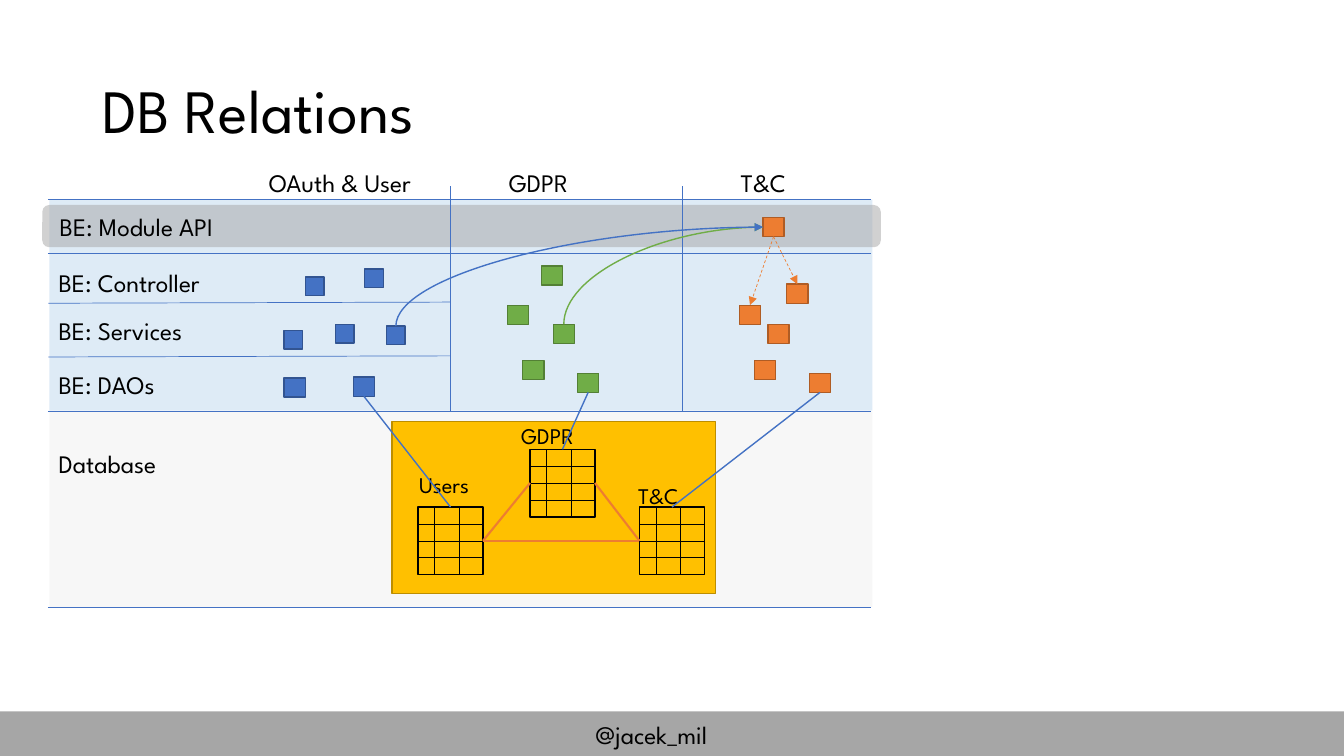
from lxml import etree
from pptx import Presentation
from pptx import util as u
from pptx.dml import color, line as dml
from pptx.enum import dml as styles, shapes, text
from pptx.oxml import ns

FONT = "League Spartan"
BLUE, GREEN, ORANGE = "4472C4", "70AD47", "ED7D31"


def rgb(value):
    """Turn a hex string into a colour."""
    return color.RGBColor.from_string(value)


def points(*values):
    """Turn numbers into lengths in points."""
    return [u.Pt(v) for v in values]


def box(slide, area, fill=None, edge=None, alpha=None, kind="RECTANGLE"):
    """Add a preset shape with an optional fill, edge and opacity."""
    shape = slide.shapes.add_shape(shapes.MSO_SHAPE[kind], *points(*area))
    shape.shadow.inherit = False
    if fill:
        shape.fill.solid()
        shape.fill.fore_color.rgb = rgb(fill)
    else:
        shape.fill.background()
    if alpha:
        tone = shape.fill._xPr.find(".//" + ns.qn("a:srgbClr"))
        etree.SubElement(tone, ns.qn("a:alpha")).set("val", str(alpha * 1000))
    if edge:
        shape.line.color.rgb = rgb(edge)
        shape.line.width = u.Pt(1)
    else:
        shape.line.fill.background()
    return shape


def write(shape, words, size=18):
    """Put one line of black text, left aligned, in a shape."""
    frame = shape.text_frame
    frame.word_wrap = True
    para = frame.paragraphs[0]
    para.text = words
    para.alignment = text.PP_ALIGN.LEFT
    para.font.size = u.Pt(size)
    para.font.name = FONT
    para.font.color.rgb = rgb("000000")
    return frame


def label(slide, words, area, size=18):
    """Add a text box."""
    return write(slide.shapes.add_textbox(*points(*area)), words, size)


def style(wire, tone, width, arrow=False, dash=False):
    """Set the look of a connector."""
    etree.SubElement(wire._element.spPr, ns.qn("a:effectLst"))
    pen = dml.LineFormat(wire)
    pen.color.rgb = rgb(tone)
    pen.width = u.Pt(width)
    if dash:
        pen.dash_style = styles.MSO_LINE.DASH
    if arrow:
        tail = etree.SubElement(wire._element.spPr.ln, ns.qn("a:tailEnd"))
        tail.set("type", "triangle")


def rule(slide, ends, tone=BLUE, width=0.5):
    """Add a free straight line."""
    wire = slide.shapes.add_connector(shapes.MSO_CONNECTOR.STRAIGHT, *points(*ends))
    style(wire, tone, width)


def join(slide, start, first, stop, last, tone, width, curve=False, **look):
    """Connect the sides of two shapes."""
    kind = shapes.MSO_CONNECTOR.CURVE if curve else shapes.MSO_CONNECTOR.STRAIGHT
    wire = slide.shapes.add_connector(kind, 0, 0, 0, 0)
    wire.begin_connect(start, first)
    wire.end_connect(stop, last)
    style(wire, tone, width, **look)
    if curve:
        bend(wire)


def bend(wire):
    """Make a curve rise from its start and reach its end sideways."""
    wide, high = wire.width, wire.height
    wire.left += (wide - high) // 2
    wire.top += (high - wide) // 2
    wire.width, wire.height = high, wide
    props = wire._element.spPr
    props.find(ns.qn("a:prstGeom")).set("prst", "curvedConnector2")
    for key, value in (("rot", "5400000"), ("flipH", "1"), ("flipV", "1")):
        props.xfrm.set(key, value)


def squares(slide, spots, fill, edge, wide=15.1, high=13.7):
    """Add small classes of one module."""
    return [box(slide, (x, y, wide, high), fill, edge) for x, y in spots]


def table(slide, left, top):
    """Draw a table icon of four rows and three columns."""
    wide, high = 46.4, 48.3
    frame = box(slide, (left, top, wide, high), edge="000000")
    for row in range(1, 4):
        y = top + row * high / 4
        rule(slide, (left, y, left + wide, y), "000000")
    for gap in (11.9, 29.5):
        rule(slide, (left + gap, top, left + gap, top + high), "000000")
    return frame


def main():
    """Build the slide."""
    deck = Presentation()
    deck.slide_width, deck.slide_height = points(960, 540)
    slide = deck.slides.add_slide(deck.slide_layouts[6])

    box(slide, (0, 508.2, 960, 31.8), "A6A6A6")
    label(slide, "@jacek_mil", (418.3, 510, 123, 29))
    box(slide, (35.2, 142.6, 588, 150.8), "5B9BD5", alpha=20)
    box(slide, (35.2, 293.8, 588, 139.8), "DBDBDB", alpha=20)
    box(slide, (280, 301, 231, 123), "FFC000", "BD8E00")

    users, terms, privacy = [
        table(slide, x, y) for x, y in ((298.6, 362.2), (456.8, 362.2), (378.6, 320.9))]
    for words, x, y in (("Users", 292.3, 332.8), ("GDPR", 365.2, 298), ("T&C", 448.8, 340.6)):
        label(slide, words, (x, y, 60, 26.6), 16)

    bar = box(slide, (30.2, 146.4, 599, 30.2), "A5A5A5", alpha=50, kind="ROUNDED_RECTANGLE")
    frame = write(bar, "BE: Module API")
    frame.vertical_anchor = text.MSO_ANCHOR.MIDDLE
    frame.margin_left = u.Pt(11)
    title = label(slide, "DB Relations", (66, 28.8, 828, 104.4), 44)
    title.vertical_anchor = text.MSO_ANCHOR.MIDDLE
    title.paragraphs[0].line_spacing = 0.9
    for words, x in (("OAuth & User", 185), ("GDPR", 356.4), ("T&C", 522)):
        label(slide, words, (x, 116, 138, 29))
    for words, y in (("BE: Controller", 187.4), ("BE: Services", 222),
                     ("BE: DAOs", 260.6), ("Database", 316.6)):
        label(slide, words, (34.8, y, 143, 29))

    for y in (142.6, 180.9, 293.8, 434):
        rule(slide, (34.2, y, 622.4, y))
    for y in (216.6, 255):
        rule(slide, (34.6, y, 322, y - 0.8))
    for x in (322, 487.5):
        rule(slide, (x, 133.2, x, 293.8))

    caller = squares(slide, ((218.2, 198), (260.6, 192.2), (203, 236.2), (239.8, 231.8),
                             (276.2, 233)), BLUE, "325491", 13.2, 13.2)[-1]
    dao = squares(slide, ((203, 270), (252.4, 269.4)), BLUE, "325491")[-1]
    greens = squares(slide, ((386.6, 190), (362.6, 218), (373.4, 257.6), (395.2, 231.6),
                             (412.6, 266.6)), GREEN, "538035")
    oranges = squares(slide, ((548.6, 231.8), (539, 257.6), (578.2, 266.6), (528.2, 218),
                              (562, 203), (545, 155.4)), ORANGE, "AF5C24")
    api = oranges[-1]

    for start, tone in ((greens[3], GREEN), (caller, BLUE)):
        join(slide, start, 0, api, 1, tone, 1, curve=True, arrow=True)
    for stop in oranges[3:5]:
        join(slide, api, 2, stop, 0, ORANGE, 0.5, arrow=True, dash=True)
    for start, stop in ((users, privacy), (users, terms), (privacy, terms)):
        join(slide, start, 3, stop, 1, ORANGE, 1.5)
    for start, stop in ((dao, users), (greens[4], privacy), (oranges[2], terms)):
        join(slide, start, 2, stop, 0, BLUE, 1)

    deck.save("out.pptx")


if __name__ == "__main__":
    main()
